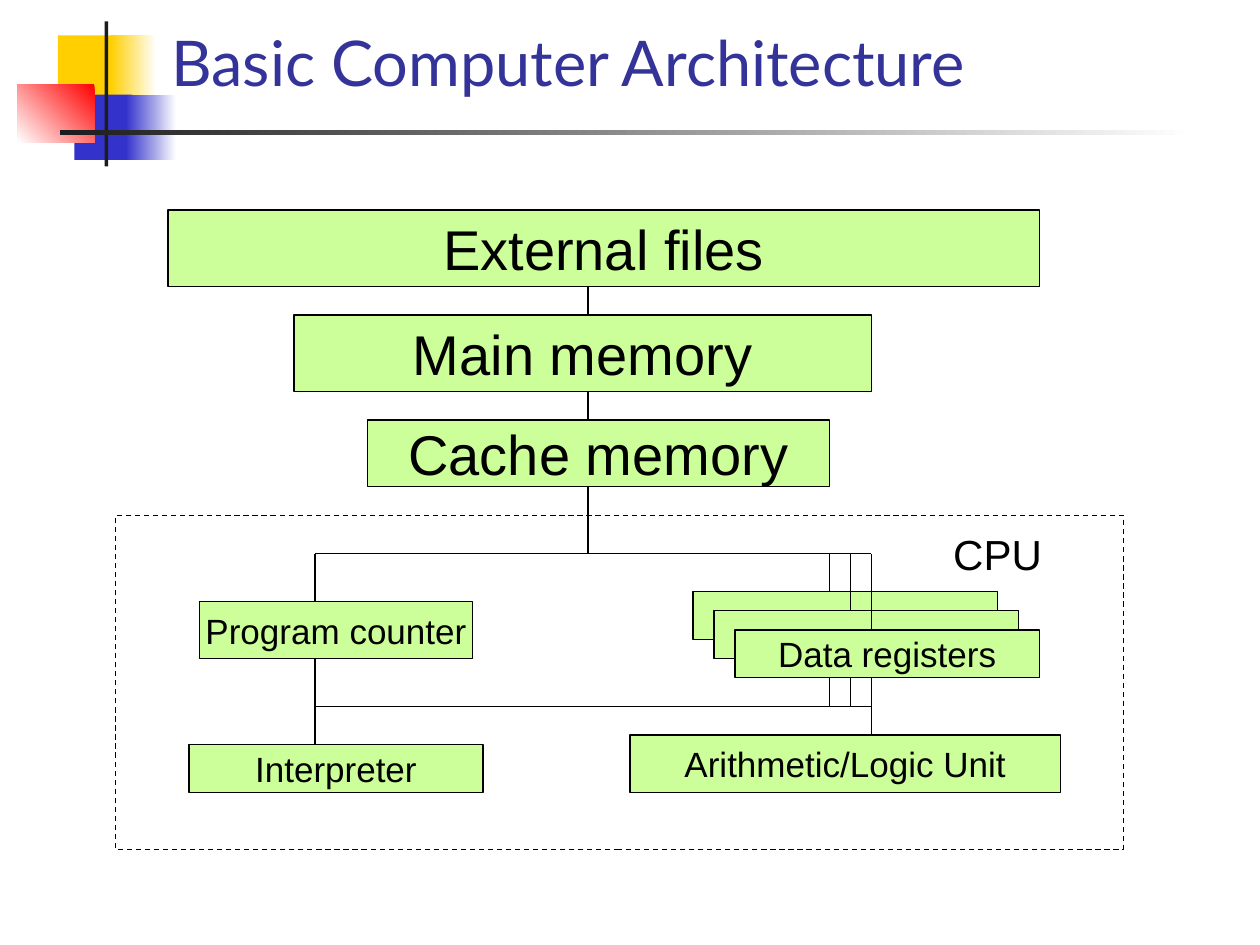
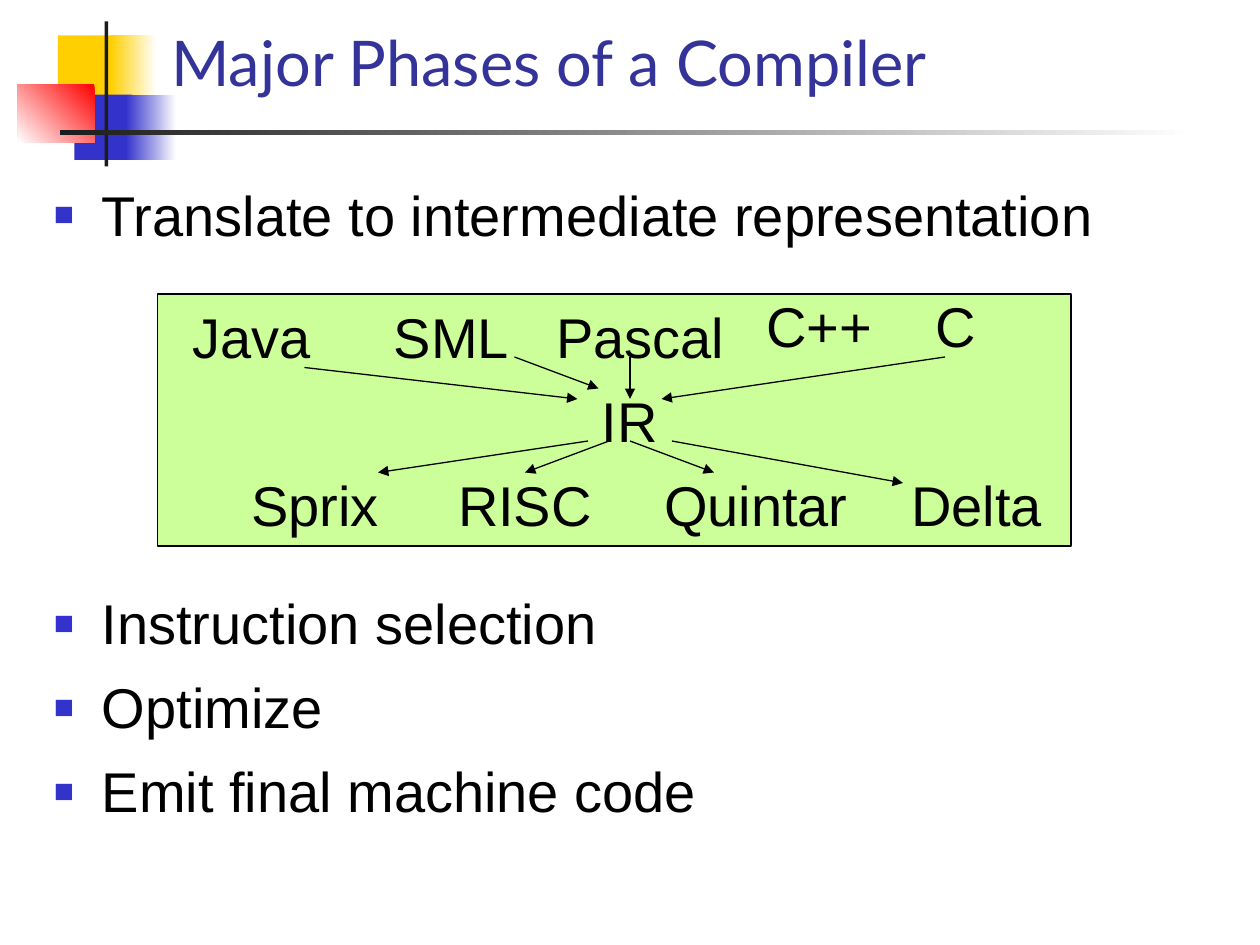
"""Build two lecture slides on computer architecture and compiler phases."""
from lxml.etree import SubElement
from pptx import Presentation
from pptx.dml.color import RGBColor
from pptx.enum.dml import MSO_LINE
from pptx.enum.shapes import MSO_CONNECTOR, MSO_SHAPE
from pptx.enum.text import MSO_ANCHOR, MSO_AUTO_SIZE, PP_ALIGN
from pptx.oxml.ns import qn
from pptx.util import Inches, Pt

COLORS = {name: RGBColor.from_string(value) for name, value in {
    "white": "FFFFFF", "black": "000000", "ink": "1C1C1C", "yellow": "FFCF01",
    "blue": "3333CC", "red": "FF0000", "green": "CCFF99", "title": "333399",
}.items()}
WIDTH, HEIGHT = Inches(10), Inches(7.5)
FINE, TIERS, TWELFTHS = (1000, 750), (120, 99), (120, 90)
LABEL_FRAME = {"word_wrap": False, "vertical_anchor": MSO_ANCHOR.MIDDLE}
TITLE_FRAME = {"word_wrap": True, "vertical_anchor": MSO_ANCHOR.BOTTOM,
               "auto_size": MSO_AUTO_SIZE.NONE}
BODY_FONT = {"name": "Arial", "size": Pt(32)}
TITLE_FONT = {"name": "Lato", "size": Pt(36)}


def add_box(slide, grid, cell, fill=None, outline=None, text="", size=32,
            kind=MSO_SHAPE.RECTANGLE):
    """Add a box on a grid of columns and rows, with an optional label."""
    units = (WIDTH / grid[0], HEIGHT / grid[1]) * 2
    box = slide.shapes.add_shape(kind, *(round(n * unit) for n, unit in zip(cell, units)))
    box.shadow.inherit = False
    for paint, color in ((box.fill, fill), (box.line.fill, outline)):
        if color:
            paint.solid()
            paint.fore_color.rgb = COLORS[color]
        else:
            paint.background()
    if outline:
        box.line.width = Pt(0.75)
    if text:
        for name, value in LABEL_FRAME.items():
            setattr(box.text_frame, name, value)
        label = box.text_frame.paragraphs[0]
        label.text, label.alignment = text, PP_ALIGN.CENTER
        for name, value in {"name": "Arial", "size": Pt(size)}.items():
            setattr(label.font, name, value)
        label.font.color.rgb = COLORS["black"]
    return box


def add_link(slide, grid, ends, arrow=False):
    """Add a thin line between two grid points, with an optional arrowhead."""
    units = (WIDTH / grid[0], HEIGHT / grid[1]) * 2
    link = slide.shapes.add_connector(
        MSO_CONNECTOR.STRAIGHT, *(round(n * unit) for n, unit in zip(ends, units)))
    link.line.color.rgb = COLORS["black"]
    link.line.width = Pt(0.75)
    properties = link.element.spPr
    if arrow:
        SubElement(properties.find(qn("a:ln")), qn("a:tailEnd"), type="triangle")
    SubElement(properties, qn("a:effectLst"))


deck = Presentation()
deck.slide_width, deck.slide_height = WIDTH, HEIGHT
title_only = deck.slide_layouts[5]
architecture, compiler = (deck.slides.add_slide(title_only) for _ in range(2))

for cell, start, end, angle in (
    ((46, 28, 48, 52), "yellow", None, 0),
    ((88, 28, 36, 52), "white", "yellow", 180),
    ((59, 75, 46, 52), "blue", None, 0),
    ((100, 75, 40, 52), "white", "blue", 180),
    ((14, 67, 61, 46), "red", "white", 225),
    ((83, 17, 3, 115), "ink", None, 0),
    ((48, 103, 900, 4), "white", "ink", 180),
):
    ornament = add_box(architecture, FINE, cell, start)
    if end:
        ornament.fill.gradient()
        ornament.fill.gradient_angle = angle
        for stop, color in zip(ornament.fill.gradient_stops, (start, end)):
            stop.color.rgb = COLORS[color]
    title_only.shapes.element.append(ornament.element)

for slide, heading in ((architecture, "Basic Computer Architecture"),
                       (compiler, "Major Phases of a Compiler")):
    title = slide.shapes.title
    for name, value in {"left": 0.126 * WIDTH, "top": 0.024 * HEIGHT,
                        "width": 0.852 * WIDTH, "height": 0.088 * HEIGHT}.items():
        setattr(title, name, round(value))
    for name, value in TITLE_FRAME.items():
        setattr(title.text_frame, name, value)
    line = title.text_frame.paragraphs[0]
    line.text, line.alignment = heading, PP_ALIGN.LEFT
    for name, value in TITLE_FONT.items():
        setattr(line.font, name, value)
    line.font.color.rgb = COLORS["title"]

for text, size, kind, cell in (
    ("External files", 32, MSO_SHAPE.FLOWCHART_PROCESS, (16, 22, 83, 8)),
    ("Main memory", 32, MSO_SHAPE.FLOWCHART_PROCESS, (28, 33, 55, 8)),
    ("Cache memory", 32, MSO_SHAPE.FLOWCHART_PROCESS, (35, 44, 44, 7)),
    ("Program counter", 20, MSO_SHAPE.FLOWCHART_PROCESS, (19, 63, 26, 6)),
    ("", 20, MSO_SHAPE.FLOWCHART_PROCESS, (66, 62, 29, 5)),
    ("", 20, MSO_SHAPE.FLOWCHART_PROCESS, (68, 64, 29, 5)),
    ("Data registers", 20, MSO_SHAPE.FLOWCHART_PROCESS, (70, 66, 29, 5)),
    ("Interpreter", 20, MSO_SHAPE.RECTANGLE, (18, 78, 28, 5)),
    ("Arithmetic/Logic Unit", 20, MSO_SHAPE.RECTANGLE, (60, 77, 41, 6)),
):
    add_box(architecture, TIERS, cell, "green", "black", text, size, kind)

for column, top, bottom in (
    (56, 30, 33), (56, 41, 44), (56, 51, 58),
    (30, 58, 63), (30, 69, 78),
    (79, 58, 62), (81, 58, 64), (83, 58, 66),
    (79, 71, 74), (81, 71, 74), (83, 71, 77),
):
    add_link(architecture, TIERS, (column, top, column, bottom))
for bus_row in (58, 74):
    add_link(architecture, TIERS, (30, bus_row, 83, bus_row))

cpu_frame = add_box(architecture, TIERS, (11, 54, 96, 35), outline="black")
cpu_frame.line.dash_style = MSO_LINE.DASH
add_box(architecture, TIERS, (87, 55, 16, 6), text="CPU", size=24)

phases = compiler.shapes.add_textbox(
    round(0.033 * WIDTH), round(0.184 * HEIGHT), round(0.946 * WIDTH), round(0.71 * HEIGHT))
phases.text_frame.word_wrap = True
for index, (text, gap) in enumerate((
    ("Translate to intermediate representation", 0),
    ("Instruction selection", 195.2),
    ("Optimize", 9.6),
    ("Emit final machine code", 9.6),
)):
    frame = phases.text_frame
    phase = frame.add_paragraph() if index else frame.paragraphs[0]
    phase.text = text
    properties = phase._p.get_or_add_pPr()
    properties.set("marL", str(Inches(0.38)))
    properties.set("indent", str(-Inches(0.38)))
    bullet_color = SubElement(properties, qn("a:buClr"))
    SubElement(bullet_color, qn("a:srgbClr"), val=str(COLORS["blue"]))
    SubElement(properties, qn("a:buSzPct"), val="60000")
    SubElement(properties, qn("a:buFont"), typeface="Arial")
    SubElement(properties, qn("a:buChar"), char="■")
    phase.space_before = Pt(gap)
    for name, value in BODY_FONT.items():
        setattr(phase.font, name, value)
    phase.font.color.rgb = COLORS["black"]

add_box(compiler, TWELFTHS, (15, 28, 87, 24), "green", "black")
for text, left, top, width in (
    ("Java", 17, 30, 14), ("SML", 36, 30, 14), ("C++", 71, 29, 14),
    ("Pascal", 54, 30, 14), ("C", 87, 29, 8), ("IR", 56, 38, 8),
    ("Sprix", 23, 46, 14), ("RISC", 43, 46, 14),
    ("Quintar", 65, 46, 14), ("Delta", 86, 46, 14),
):
    add_box(compiler, TWELFTHS, (left, top, width, 4), "green", text=text)

for ends in (
    (29, 35, 55, 38), (49, 34, 57, 37), (60, 34, 60, 38), (90, 34, 63, 38),
    (56, 42, 36, 45), (58, 42, 50, 45), (60, 42, 68, 45), (64, 42, 86, 46),
):
    add_link(compiler, TWELFTHS, ends, arrow=True)

deck.save("out.pptx")
